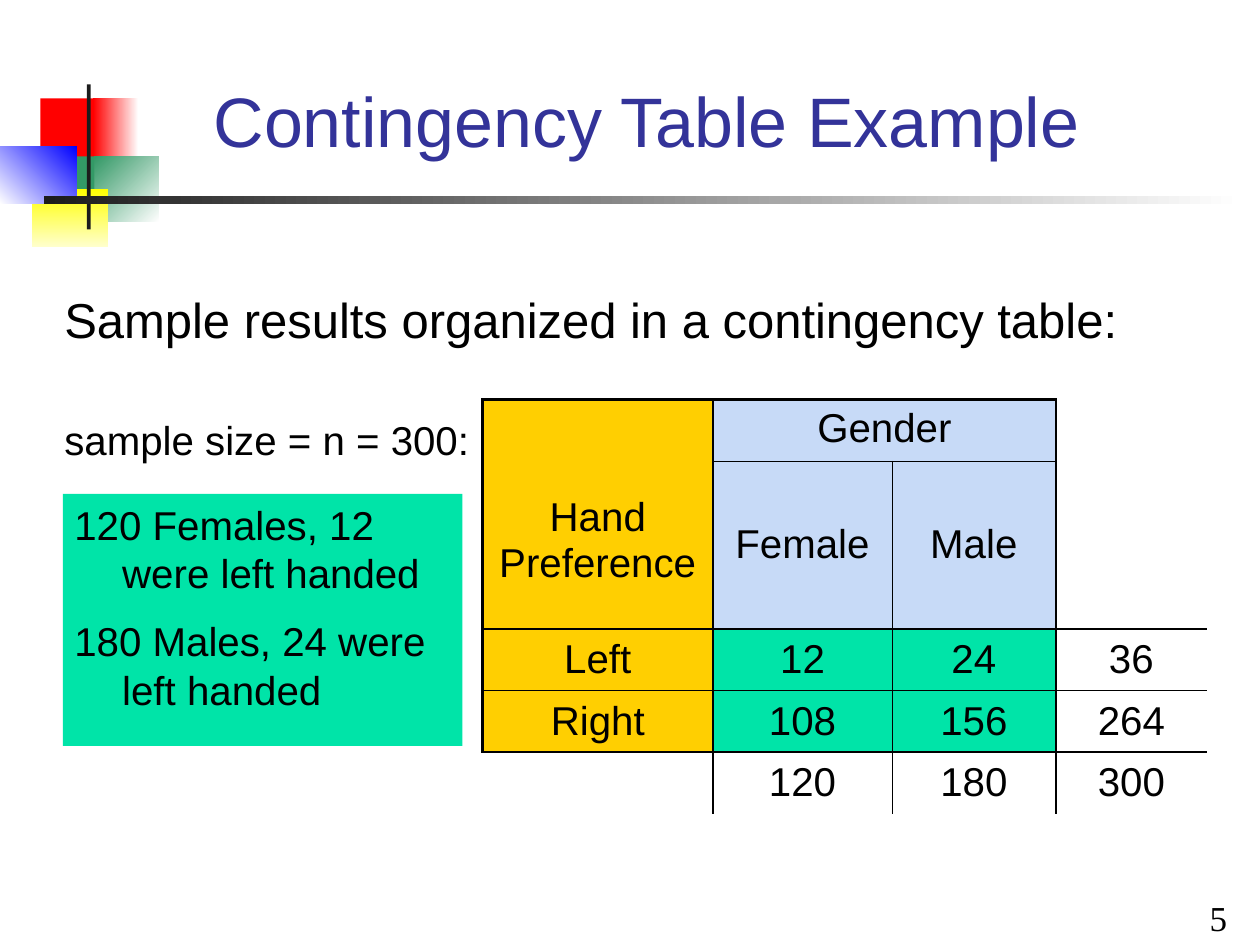
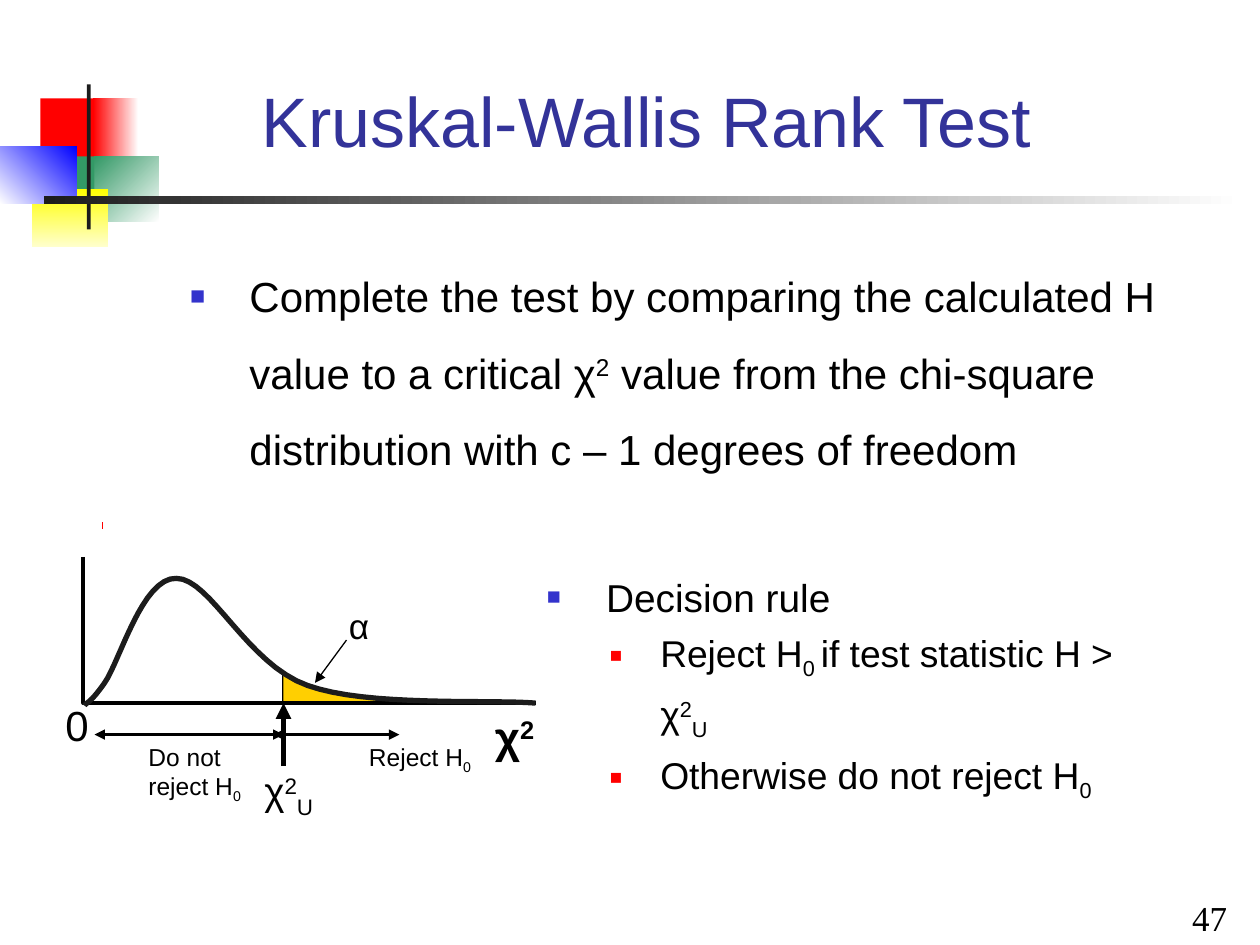
from pptx import Presentation
from pptx.dml.color import RGBColor as Rgb
from pptx.enum.shapes import MSO_CONNECTOR as Conn, MSO_SHAPE as Kind
from pptx.enum.text import MSO_ANCHOR as Anchor, MSO_AUTO_SIZE as Auto, PP_ALIGN as Align
from pptx.oxml.ns import qn
from pptx.util import Inches, Pt
from lxml.etree import SubElement as Sub

HUES = {
    "black": "000000", "ink": "1C1C1C", "white": "FFFFFF", "title": "333399",
    "red": "FF0000", "green": "339966", "yellow": "FFFF00", "cream": "FFFFCC",
    "blue": "0000FF", "mark": "3333CC", "gold": "FFCF01", "sky": "C7DAF7",
    "mint": "00E4A8",
}
DECOR = [
    ((0.32, 0.78, 0.48, 0.52), "red", None, 0),
    ((0.74, 0.78, 0.36, 0.52), "white", "red", 180),
    ((0.75, 1.24, 0.51, 0.52), "white", "green", 225),
    ((0.43, 1.24, 0.32, 0.52), "green", None, 0),
    ((0.25, 1.5, 0.61, 0.46), "yellow", "cream", 90),
    ((0, 1.16, 0.61, 0.46), "blue", "white", 135),
    ((0.69, 0.67, 0.03, 1.15), "ink", None, 0),
    ((0.35, 1.56, 9.51, 0.06), "white", "ink", 180),
]
COLS = [1.83, 1.42, 1.3, 1.2]
ROWS = [0.49, 1.33, 0.49, 0.49, 0.49]
GRID = [
    ["Hand Preference", "Gender", "", ""],
    ["", "Female", "Male", ""],
    ["Left", "12", "24", "36"],
    ["Right", "108", "156", "264"],
    ["", "120", "180", "300"],
]
VERT = [1.47, 1.08, 0.45, 1.47, 0]
HORZ = [1.47, 0.45, 1.08, 0.45, 1.47, 0]
TAIL = [
    (2.25, 5.58), (2.25, 5.33), (2.39, 5.41), (2.48, 5.45), (2.59, 5.48),
    (2.74, 5.5), (2.85, 5.52), (3.05, 5.54), (3.59, 5.56), (3.59, 5.58),
]
CURVE = [
    (0.67, 5.6), (0.69, 5.57), (0.71, 5.59), (0.83, 5.42), (0.95, 5.25),
    (1.13, 4.58), (1.4, 4.59), (1.67, 4.59), (1.96, 5.27), (2.44, 5.44),
    (2.91, 5.61), (3.87, 5.55), (4.25, 5.58),
]


def hue(name):
    """Return the named colour."""
    return Rgb.from_string(HUES[name])


def write(frame, text, size=23, font="Arial", color="black", bold=False, align=Align.LEFT,
          left=0, hang=0, before=0, lead=1.0, level=0, mark=None, scale=60):
    """Add a paragraph whose runs split at | and start with ^ or _ if raised or lowered."""
    para = frame.paragraphs[-1]
    if para.runs:
        para = frame.add_paragraph()
    para.alignment, para.level = align, level
    para.space_before, para.line_spacing = Pt(before), lead
    prop = para._p.get_or_add_pPr()
    prop.set("marL", str(Inches(left)))
    prop.set("indent", str(Inches(-hang)))
    if mark:
        Sub(Sub(prop, qn("a:buClr")), qn("a:srgbClr"), val=HUES[mark])
        Sub(prop, qn("a:buSzPct"), val=str(scale * 1000))
        Sub(prop, qn("a:buFont"), typeface=font)
        Sub(prop, qn("a:buChar"), char="■")
    else:
        Sub(prop, qn("a:buNone"))
    for part in text.split("|"):
        run = para.add_run()
        run.text = part.lstrip("^_")
        run.font.size, run.font.name, run.font.bold = Pt(size), font, bold
        run.font.color.rgb = hue(color)
        shift = {"^": "30000", "_": "-25000"}.get(part[0])
        if shift:
            run._r.get_or_add_rPr().set("baseline", shift)


def setup(frame, anchor=Anchor.TOP, side=0.09):
    """Set the wrapping, anchor and insets of a frame."""
    frame.word_wrap, frame.auto_size = True, Auto.NONE
    frame.vertical_anchor = anchor
    frame.margin_left = frame.margin_right = Inches(side)
    frame.margin_top = frame.margin_bottom = Inches(0.05)
    return frame


def place(shape, box):
    """Move a placeholder to a box and return its frame."""
    shape.left, shape.top, shape.width, shape.height = map(Inches, box)
    return setup(shape.text_frame)


def label(slide, box, side=0.1, anchor=Anchor.TOP):
    """Add a text box and return its frame."""
    return setup(slide.shapes.add_textbox(*map(Inches, box)).text_frame, anchor, side)


def rect(slide, box, color, end=None, turn=0):
    """Add a rectangle with a plain or gradient fill."""
    shape = slide.shapes.add_shape(Kind.RECTANGLE, *map(Inches, box))
    shape.shadow.inherit = False
    shape.line.fill.background()
    if end:
        shape.fill.gradient()
        shape.fill.gradient_angle = 360 - turn
        for stop, name in zip(shape.fill.gradient_stops, (color, end)):
            stop.color.rgb = hue(name)
    else:
        shape.fill.solid()
        shape.fill.fore_color.rgb = hue(color)
    return shape


def line(slide, start, end, width, color="black", head=False, tail=False):
    """Add a straight line with optional arrowheads."""
    link = slide.shapes.add_connector(Conn.STRAIGHT, *map(Inches, start + end))
    link.line.width = Pt(width)
    link.line.color.rgb = hue(color)
    stroke = link.line._get_or_add_ln()
    for tag, shown in (("a:headEnd", head), ("a:tailEnd", tail)):
        if shown:
            Sub(stroke, qn(tag), type="triangle")
    Sub(link._element.spPr, qn("a:effectLst"))


def free(slide, points, fill=None, color=None, width=0):
    """Add an outline through points, closed if it is filled."""
    spots = [(Inches(x), Inches(y)) for x, y in points]
    pen = slide.shapes.build_freeform(*spots[0])
    pen.add_line_segments(spots[1:], close=bool(fill))
    shape = pen.convert_to_shape()
    shape.shadow.inherit = False
    if fill:
        shape.fill.solid()
        shape.fill.fore_color.rgb = hue(fill)
    else:
        shape.fill.background()
    if color:
        shape.line.color.rgb = hue(color)
        shape.line.width = Pt(width)
    else:
        shape.line.fill.background()


def smooth(knots, steps=16):
    """Return points along a chain of cubic curves."""
    points = [knots[0]]
    for i in range(0, len(knots) - 1, 3):
        for t in (n / steps for n in range(1, steps + 1)):
            mix = ((1 - t) ** 3, 3 * t * (1 - t) ** 2, 3 * t * t * (1 - t), t ** 3)
            points.append(tuple(sum(m * k[d] for m, k in zip(mix, knots[i:i + 4]))
                                for d in (0, 1)))
    return points


def edge(cell, sides):
    """Draw the left, right, top and bottom borders of a cell."""
    prop = cell._tc.get_or_add_tcPr()
    for side, width in zip("LRTB", sides):
        stroke = Sub(prop, qn("a:ln" + side), w=str(Pt(width)))
        if width:
            Sub(Sub(stroke, qn("a:solidFill")), qn("a:srgbClr"), val=HUES["black"])
        else:
            Sub(stroke, qn("a:noFill"))


def shade(row, col):
    """Return the fill name of a table cell."""
    if row == 4 or col == 3:
        return None
    if col == 0:
        return "gold"
    return "sky" if row < 2 else "mint"


def table(slide):
    """Add the contingency table."""
    box = (3.83, 3.17, sum(COLS), sum(ROWS))
    grid = slide.shapes.add_table(len(ROWS), len(COLS), *map(Inches, box)).table
    grid.first_row = grid.horz_banding = False
    for col, width in zip(grid.columns, COLS):
        col.width = Inches(width)
    for row, height in zip(grid.rows, ROWS):
        row.height = Inches(height)
    for start, end in (((0, 0), (1, 0)), ((0, 1), (0, 2)), ((0, 3), (1, 3))):
        grid.cell(*start).merge(grid.cell(*end))
    for r, texts in enumerate(GRID):
        for c, text in enumerate(texts):
            cell = grid.cell(r, c)
            if not cell.is_spanned:
                edge(cell, (0 if (r, c) == (4, 0) else VERT[c], VERT[c + cell.span_width],
                            0 if (r, c) == (0, 3) else HORZ[r], HORZ[r + cell.span_height]))
            name = shade(r, c)
            if name:
                cell.fill.solid()
                cell.fill.fore_color.rgb = hue(name)
            else:
                cell.fill.background()
            if text:
                cell.vertical_anchor = Anchor.TOP if text == "Gender" else Anchor.MIDDLE
                write(cell.text_frame, text, align=Align.CENTER)
    grid.cell(0, 0).margin_top = Inches(0.47)


def start(deck, title, number):
    """Add a slide with the shared decor, title and number."""
    slide = deck.slides.add_slide(deck.slide_layouts[1])
    for box, color, end, turn in DECOR:
        rect(slide, box, color, end, turn)
    frame = place(slide.shapes.title, (1.26, 0.25, 7.74, 1.08))
    frame.vertical_anchor = Anchor.BOTTOM
    write(frame, title, size=40, color="title", align=Align.CENTER)
    frame = label(slide, (7.5, 7.15, 2.33, 0.35), 0.09, Anchor.BOTTOM)
    write(frame, number, size=20, font="Times New Roman", align=Align.RIGHT)
    return slide


def hands(deck):
    """Build the contingency table slide."""
    slide = start(deck, "Contingency Table Example", "5")
    body = place(slide.placeholders[1], (0.42, 2.25, 8.67, 0.67))
    write(body, "Sample results organized in a contingency table:", size=28)
    table(slide)
    notes = setup(rect(slide, (0.5, 3.92, 3.17, 2), "mint").text_frame)
    for text in ("120 Females, 12 were left handed", "180 Males, 24 were left handed"):
        write(notes, text, left=0.38, hang=0.38, before=11.5)
    write(label(slide, (0.42, 3.25, 3.58, 0.58), 0.09), "sample size = n = 300:")


def graph(slide):
    """Draw the chi-square curve with its regions and labels."""
    line(slide, (2.25, 5.33), (2.25, 5.58), 1.5)
    free(slide, TAIL, fill="gold")
    free(slide, [(0.66, 4.42), (0.66, 5.58), (4.25, 5.58)], color="black", width=2)
    line(slide, (0.81, 4.17), (0.82, 4.17), 4, "red")
    line(slide, (2.75, 5.08), (2.5, 5.42), 0.74, tail=True)
    line(slide, (2.25, 6.08), (2.25, 5.58), 3, tail=True)
    free(slide, smooth(CURVE), color="ink", width=3)
    for left, right in ((0.75, 2.25), (2.17, 3.17)):
        line(slide, (left, 5.83), (right, 5.83), 1.5, head=True, tail=True)
    for box, text, size, bold in (
        ((3.83, 5.58, 0.67, 0.51), "χ|^2", 25, True),
        ((2, 6.04, 0.83, 0.51), "χ|^2|_U", 22, False),
        ((0.42, 5.5, 0.5, 0.5), "0", 24, False),
        ((2.67, 4.75, 0.42, 0.44), "α", 20, False),
        ((2.83, 5.84, 1.08, 0.36), "Reject H|_0", 14, False),
    ):
        write(label(slide, box), text, size=size, bold=bold)
    keep = label(slide, (1.08, 5.84, 1, 0.51))
    write(keep, "Do not", size=14)
    write(keep, "reject H|_0", size=14, lead=0.9)


def ranks(deck):
    """Build the rank test slide."""
    slide = start(deck, "Kruskal-Wallis Rank Test", "47")
    rule = place(slide.placeholders[1], (4.25, 4.5, 5.42, 1.92))
    write(rule, "Decision rule", size=22.2, left=0.47, hang=0.47, before=6, mark="mark")
    sub = dict(size=21.3, left=0.9, before=5.8, level=1)
    dot = dict(hang=0.4, mark="red", scale=55)
    write(rule, "Reject H|_0 |if test statistic H >", **sub, **dot)
    write(rule, "χ|^2|_U", **sub)
    write(rule, "Otherwise do not reject H|_0", **sub, **dot)
    intro = label(slide, (1.42, 2.08, 8.17, 1.83), 0.09)
    wide = dict(size=24, left=0.47, before=13.5, lead=1.05)
    write(intro, "Complete the test by comparing the calculated H", hang=0.47, mark="mark", **wide)
    write(intro, "value to a critical χ|^2| value from the chi-square", **wide)
    write(intro, "distribution with c – 1 degrees of freedom", **wide)
    graph(slide)


def main():
    """Build and save the deck."""
    deck = Presentation()
    deck.slide_width, deck.slide_height = Inches(10), Inches(7.5)
    hands(deck)
    ranks(deck)
    deck.save("out.pptx")


main()
